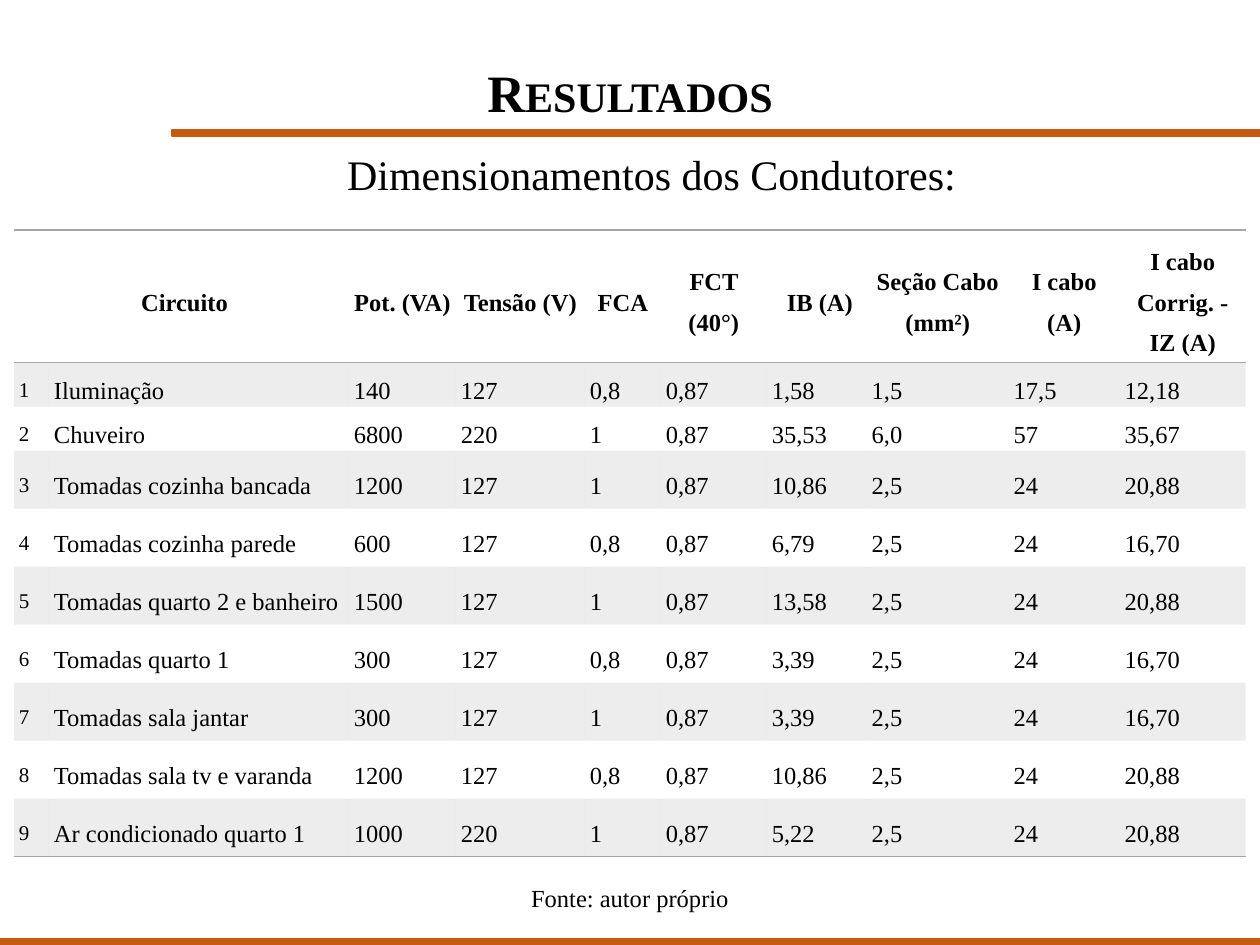
import pptx
import pptx.dml.color
import pptx.enum.shapes
import pptx.enum.text
import pptx.util
from lxml import etree
from pptx.oxml.ns import qn

ALIGN = pptx.enum.text.PP_ALIGN
ANCHOR = pptx.enum.text.MSO_ANCHOR
AUTO_SIZE = pptx.enum.text.MSO_AUTO_SIZE

PX_PER_INCH = 126
FONT = "Times New Roman"
BLACK, ORANGE, GRAY = "000000", "C55A11", "A5A5A5"
BAND_OPACITY = 20
NO_STYLE = "{2D5ABB26-0587-4C30-8999-92F81FD0307C}"

COLUMN_WIDTHS = [35, 300, 107, 129, 76, 106, 100, 142, 111, 126]
ROW_HEIGHTS = [120, 39, 30] + [58] * 7
TABLE_HEIGHT = 615

HEADERS = [" Circuito", "", "Pot. (VA)", "Tensão (V)", "FCA", "FCT (40°)", " IB (A)",
           "Seção Cabo (mm²)", "I cabo (A)", "I cabo Corrig. - IZ (A)"]
CIRCUITS = [
    ["Iluminação", "140", "127", "0,8", "0,87", "1,58", "1,5", "17,5", "12,18"],
    ["Chuveiro", "6800", "220", "1", "0,87", "35,53", "6,0", "57", "35,67"],
    ["Tomadas cozinha bancada", "1200", "127", "1", "0,87", "10,86", "2,5", "24", "20,88"],
    ["Tomadas cozinha parede", "600", "127", "0,8", "0,87", "6,79", "2,5", "24", "16,70"],
    ["Tomadas quarto 2 e banheiro", "1500", "127", "1", "0,87", "13,58", "2,5", "24", "20,88"],
    ["Tomadas quarto 1", "300", "127", "0,8", "0,87", "3,39", "2,5", "24", "16,70"],
    ["Tomadas sala jantar", "300", "127", "1", "0,87", "3,39", "2,5", "24", "16,70"],
    ["Tomadas sala tv e varanda", "1200", "127", "0,8", "0,87", "10,86", "2,5", "24", "20,88"],
    ["Ar condicionado quarto 1", "1000", "220", "1", "0,87", "5,22", "2,5", "24", "20,88"],
]


def px(length):
    return pptx.util.Emu(round(length * 914400 / PX_PER_INCH))


def color(code):
    return pptx.dml.color.RGBColor.from_string(code)


def write(frame, text, size=14, bold=False, small_caps=False, align=ALIGN.CENTER,
          line_spacing=None, space_after=None):
    para = frame.paragraphs[0]
    para.alignment = align
    if line_spacing is not None:
        para.line_spacing = line_spacing
    if space_after is not None:
        para.space_after = pptx.util.Pt(space_after)
    span = para.add_run()
    span.text = text
    span.font.name = FONT
    span.font.size = pptx.util.Pt(size)
    span.font.bold = bold
    span.font.color.rgb = color(BLACK)
    if small_caps:
        span.font._element.set("cap", "small")


def add_title(page, text, left, top, width, height):
    title = page.shapes.title
    title.left, title.top, title.width, title.height = map(px, (left, top, width, height))
    frame = title.text_frame
    frame.word_wrap = False
    frame.auto_size = AUTO_SIZE.SHAPE_TO_FIT_TEXT
    frame.vertical_anchor = ANCHOR.TOP
    write(frame, text, size=30, bold=True, small_caps=True)


def add_text(page, text, left, top, width, height, **style):
    box = page.shapes.add_textbox(*map(px, (left, top, width, height)))
    box.text_frame.word_wrap = True
    box.text_frame.auto_size = AUTO_SIZE.SHAPE_TO_FIT_TEXT
    write(box.text_frame, text, **style)


def add_bar(page, left, top, width, height):
    bar = page.shapes.add_shape(pptx.enum.shapes.MSO_SHAPE.RECTANGLE,
                                *map(px, (left, top, width, height)))
    bar.shadow.inherit = False
    bar.fill.solid()
    bar.fill.fore_color.rgb = color(ORANGE)
    bar.line.color.rgb = color(ORANGE)
    bar.line.width = pptx.util.Pt(1)


def add_border(cell, side):
    """Draw a 1 pt gray rule on one side: lnT for the top, lnB for the bottom."""
    line = etree.SubElement(cell._tc.get_or_add_tcPr(), qn(f"a:{side}"),
                            w=str(pptx.util.Pt(1)))
    fill = etree.SubElement(line, qn("a:solidFill"))
    etree.SubElement(fill, qn("a:srgbClr"), val=GRAY)


def fill_band(cell):
    cell.fill.solid()
    cell.fill.fore_color.rgb = color(GRAY)
    tint = cell._tc.tcPr.find(qn("a:solidFill")).find(qn("a:srgbClr"))
    etree.SubElement(tint, qn("a:alpha"), val=str(BAND_OPACITY * 1000))


def format_cell(cell, row, last_row):
    cell.vertical_anchor = ANCHOR.MIDDLE
    cell.margin_left = cell.margin_right = px(5)
    cell.margin_top = cell.margin_bottom = 0
    if row == 0:
        add_border(cell, "lnT")
    if row in (0, last_row):
        add_border(cell, "lnB")
    if row % 2:
        fill_band(cell)
    else:
        cell.fill.background()


def add_circuit_table(page, left, top):
    rows = [HEADERS] + [[str(number)] + circuit
                        for number, circuit in enumerate(CIRCUITS, 1)]
    holder = page.shapes.add_table(len(rows), len(HEADERS), px(left), px(top),
                                   px(sum(COLUMN_WIDTHS)), px(TABLE_HEIGHT))
    table = holder.table
    table.first_row = table.horz_banding = False
    table._tbl.tblPr.find(qn("a:tableStyleId")).text = NO_STYLE
    for column, width in zip(table.columns, COLUMN_WIDTHS):
        column.width = px(width)
    for line, height in zip(table.rows, ROW_HEIGHTS):
        line.height = px(height)
    holder.height = px(TABLE_HEIGHT)
    table.cell(0, 0).merge(table.cell(0, 1))

    for row, values in enumerate(rows):
        for column, text in enumerate(values):
            cell = table.cell(row, column)
            format_cell(cell, row, len(rows) - 1)
            if cell.is_spanned:
                continue
            header = row == 0
            write(cell.text_frame, text,
                  size=12 if column == 0 and not header else 14,
                  bold=header,
                  align=ALIGN.CENTER if header else ALIGN.JUSTIFY,
                  line_spacing=1.5,
                  space_after=14.4 if cell.is_merge_origin else 6)


def main():
    deck = pptx.Presentation()
    deck.slide_width, deck.slide_height = px(1260), px(945)
    page = deck.slides.add_slide(deck.slide_layouts.get_by_name("Title Only"))
    add_title(page, "Resultados", 473, 54, 314, 77)
    add_bar(page, 0, 939, 1260, 6)
    add_bar(page, 172, 130, 1088, 6)
    add_text(page, "Dimensionamentos dos Condutores:", 145, 142, 1013, 63, size=24)
    add_text(page, "Fonte: autor próprio", 127, 877, 1006, 43)
    add_circuit_table(page, 14, 230)
    deck.save("out.pptx")


if __name__ == "__main__":
    main()
